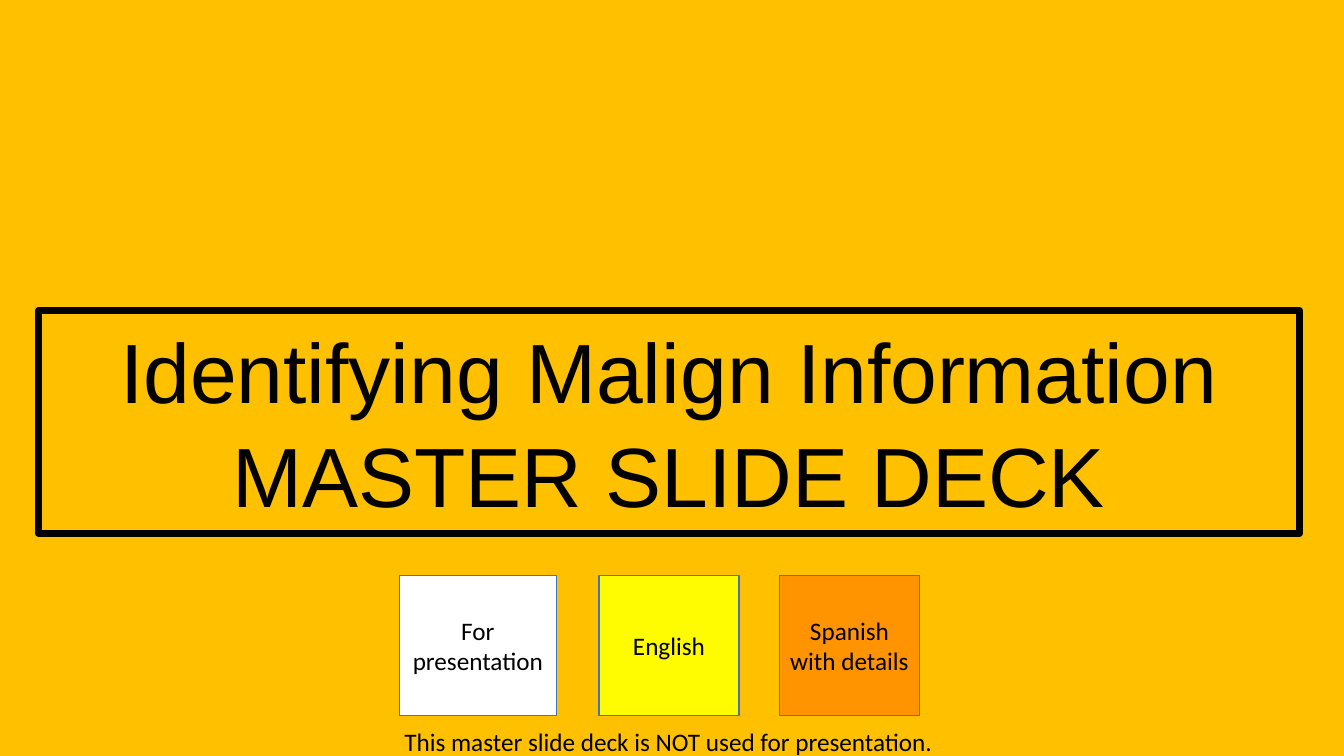
from lxml import etree
from pptx import Presentation
from pptx.dml.color import RGBColor
from pptx.enum.shapes import MSO_SHAPE
from pptx.enum.text import MSO_ANCHOR, MSO_AUTO_SIZE, PP_ALIGN
from pptx.oxml.ns import qn
from pptx.util import Inches, Pt

AMBER = RGBColor(0xFF, 0xC0, 0x00)
BLACK = RGBColor(0x00, 0x00, 0x00)
WHITE = RGBColor(0xFF, 0xFF, 0xFF)
YELLOW = RGBColor(0xFF, 0xFB, 0x00)
ORANGE = RGBColor(0xFF, 0x93, 0x00)
BLUE = RGBColor(0x44, 0x72, 0xC4)

# Content
TITLE_LINES = ["Identifying Malign Information", "MASTER SLIDE DECK"]
LEGEND = [  # label, left, width, fill
    ("For presentation", 3.96, 1.56, WHITE),
    ("English", 5.94, 1.39, YELLOW),
    ("Spanish with details", 7.73, 1.39, ORANGE),
]
LEGEND_TOP, LEGEND_HEIGHT = 5.71, 1.39
CAPTION = "This master slide deck is NOT used for presentation."


def write(shape, lines, font="Calibri", size=18, align=PP_ALIGN.CENTER,
          anchor=MSO_ANCHOR.MIDDLE, insets=(0.05, 0.05, 0.05, 0.05),
          wrap=True, spacing=None, before=None):
    frame = shape.text_frame
    frame.word_wrap = wrap
    frame.vertical_anchor = anchor
    (frame.margin_left, frame.margin_top,
     frame.margin_right, frame.margin_bottom) = map(Inches, insets)
    for index, line in enumerate(lines):
        paragraph = frame.add_paragraph() if index else frame.paragraphs[0]
        paragraph.alignment = align
        paragraph.line_spacing = spacing
        paragraph.space_before = before
        run = paragraph.add_run()
        run.text = line
        run.font.name = font
        run.font.size = Pt(size)
        run.font.color.rgb = BLACK


def add_box(left, top, width, height, line, weight, fill=None):
    box = slide.shapes.add_shape(MSO_SHAPE.RECTANGLE, Inches(left), Inches(top),
                                 Inches(width), Inches(height))
    box.shadow.inherit = False
    if fill is None:
        box.fill.background()
    else:
        box.fill.solid()
        box.fill.fore_color.rgb = fill
    box.line.color.rgb = line
    box.line.width = Pt(weight)
    return box


presentation = Presentation()
presentation.slide_width = Inches(13.33)
presentation.slide_height = Inches(7.5)
slide = presentation.slides.add_slide(presentation.slide_layouts[6])
slide.background.fill.solid()
slide.background.fill.fore_color.rgb = AMBER

# Framed title with rounded line corners
title = add_box(0.38, 3.08, 12.51, 2.21, BLACK, 5)
etree.SubElement(title.line._get_or_add_ln(), qn("a:round"))
write(title, TITLE_LINES, font="Arial", size=60, anchor=MSO_ANCHOR.TOP,
      insets=(0.1, 0.2, 0.1, 0.05), spacing=0.9, before=Pt(10))

# Colour legend
for label, left, width, fill in LEGEND:
    square = add_box(left, LEGEND_TOP, width, LEGEND_HEIGHT, BLUE, 1, fill)
    write(square, [label])

# Caption under the legend
caption = slide.shapes.add_textbox(Inches(3.96), Inches(7.16), Inches(5.41), Inches(0.36))
write(caption, [CAPTION], align=PP_ALIGN.LEFT, anchor=MSO_ANCHOR.TOP, wrap=False)
caption.text_frame.auto_size = MSO_AUTO_SIZE.SHAPE_TO_FIT_TEXT

presentation.save("out.pptx")
